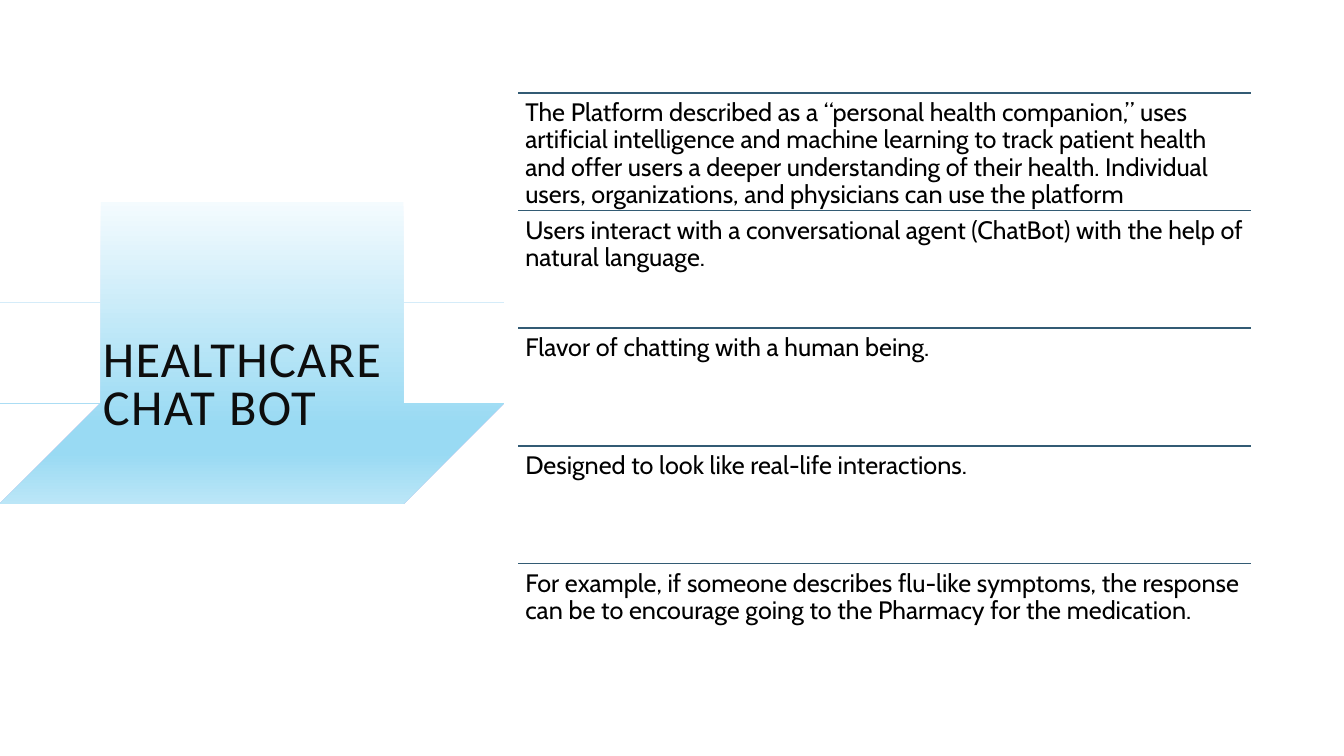
from lxml import etree
from pptx import Presentation
from pptx.dml.color import RGBColor
from pptx.enum.shapes import MSO_CONNECTOR
from pptx.enum.text import MSO_ANCHOR, MSO_AUTO_SIZE, PP_ALIGN
from pptx.oxml.ns import qn
from pptx.util import Inches, Pt

LINE = MSO_CONNECTOR.STRAIGHT
TOP, MIDDLE = MSO_ANCHOR.TOP, MSO_ANCHOR.MIDDLE
FIXED = MSO_AUTO_SIZE.NONE
LEFT = PP_ALIGN.LEFT

COLORS = {
    "title": "0D0D0D", "body": "000000", "rule": "335B74",
    "pale": "F4FBFE", "sky": "99DAF3", "mist": "BBE6F7",
}
STOPS = [(0, "pale"), (74, "sky"), (83, "sky"), (100, "mist")]

BRUSH = [
    (2.6, 2.31), (3.85, 2.34), (4.4, 2.43), (3.98, 2.6), (4.27, 2.68),
    (4.6, 2.9), (4.65, 3.06), (4.58, 3.15), (4.6, 3.37), (4.49, 3.41),
    (4.5, 3.73), (4.57, 3.8), (4.5, 4.05), (4.64, 4.3), (4.42, 4.51),
    (4.3, 5.04), (4.12, 5.2), (2.89, 5.36), (2.02, 5.26), (1.26, 5.04),
    (0.86, 4.93), (0.47, 4.88), (1.08, 4.61), (0.27, 4.56), (0.56, 4.27),
    (0.73, 4.17), (0.66, 4.06), (0.18, 4.08), (0.44, 3.93), (0.64, 3.78),
    (0.53, 3.68), (0.92, 3.55), (1.01, 3.32), (0.27, 3.33), (0.66, 3.22),
    (0.36, 3.1), (0.66, 2.93), (1.07, 2.73), (1.54, 2.63), (1.13, 2.56),
    (1.41, 2.44), (2.08, 2.35),
]

POINTS = [
    "The Platform described as a “personal health companion,” uses artificial "
    "intelligence and machine learning to track patient health and offer users a "
    "deeper understanding of their health. Individual users, organizations, and "
    "physicians can use the platform",
    "Users interact with a conversational agent (ChatBot) with the help of natural language.",
    "Flavor of chatting with a human being.",
    "Designed to look like real-life interactions.",
    "For example, if someone describes flu-like symptoms, the response can be to "
    "encourage going to the Pharmacy for the medication.",
]


def write(shape, text, font, size, color, space, anchor, inset):
    frame = shape.text_frame
    margin = Inches(inset)
    form = {
        "word_wrap": True, "auto_size": FIXED, "vertical_anchor": anchor,
        "margin_left": margin, "margin_right": margin,
        "margin_top": margin, "margin_bottom": margin,
    }
    for key, value in form.items():
        setattr(frame, key, value)
    para = frame.paragraphs[0]
    para.alignment = LEFT
    para.line_spacing = space
    run = para.add_run()
    run.text = text
    for key, value in {"name": font, "size": Pt(size)}.items():
        setattr(run.font, key, value)
    run.font.color.rgb = RGBColor.from_string(COLORS[color])


deck = Presentation()
deck.slide_width, deck.slide_height = Inches(13.33), Inches(7.5)
slide = deck.slides.add_slide(deck.slide_layouts[5])
shapes = slide.shapes

pen = shapes.build_freeform(*BRUSH[0], scale=Inches(1))
pen.add_line_segments(BRUSH[1:], close=True)
brush = pen.convert_to_shape()
brush.shadow.inherit = False
brush.line.fill.background()
brush.fill.gradient()
brush.fill.gradient_angle = 270
stops = next(brush.element.iter(qn("a:gsLst")))
for stop in list(stops):
    stops.remove(stop)
for place, color in STOPS:
    stop = etree.SubElement(stops, qn("a:gs"), pos=str(place * 1000))
    etree.SubElement(stop, qn("a:srgbClr"), val=COLORS[color])

title = shapes.title
title.left, title.top = Inches(0.92), Inches(1.64)
title.width, title.height = Inches(3.52), Inches(4.4)
write(title, "HEALTHCARE CHAT BOT", "Calibri", 36, "title", 0.8, MIDDLE, 0.1)
next(title.element.iter(qn("a:rPr"))).set("spc", "100")
brush.element.addnext(title.element)

left, top, width = 5.14, 0.92, 7.27
step = 4.67 / 4
group = shapes.add_group_shape()
for row, text in enumerate(POINTS):
    y = Inches(top + row * step)
    rule = group.shapes.add_connector(LINE, Inches(left), y, Inches(left + width), y)
    rule.line.color.rgb = RGBColor.from_string(COLORS["rule"])
    rule.line.width = Pt(1.25)
    etree.SubElement(rule.element.spPr, qn("a:effectLst"))
    box = group.shapes.add_textbox(Inches(left), y, Inches(width), Inches(step))
    write(box, text, "Cabin", 18, "body", 0.9, TOP, 0.07)

deck.save("out.pptx")
